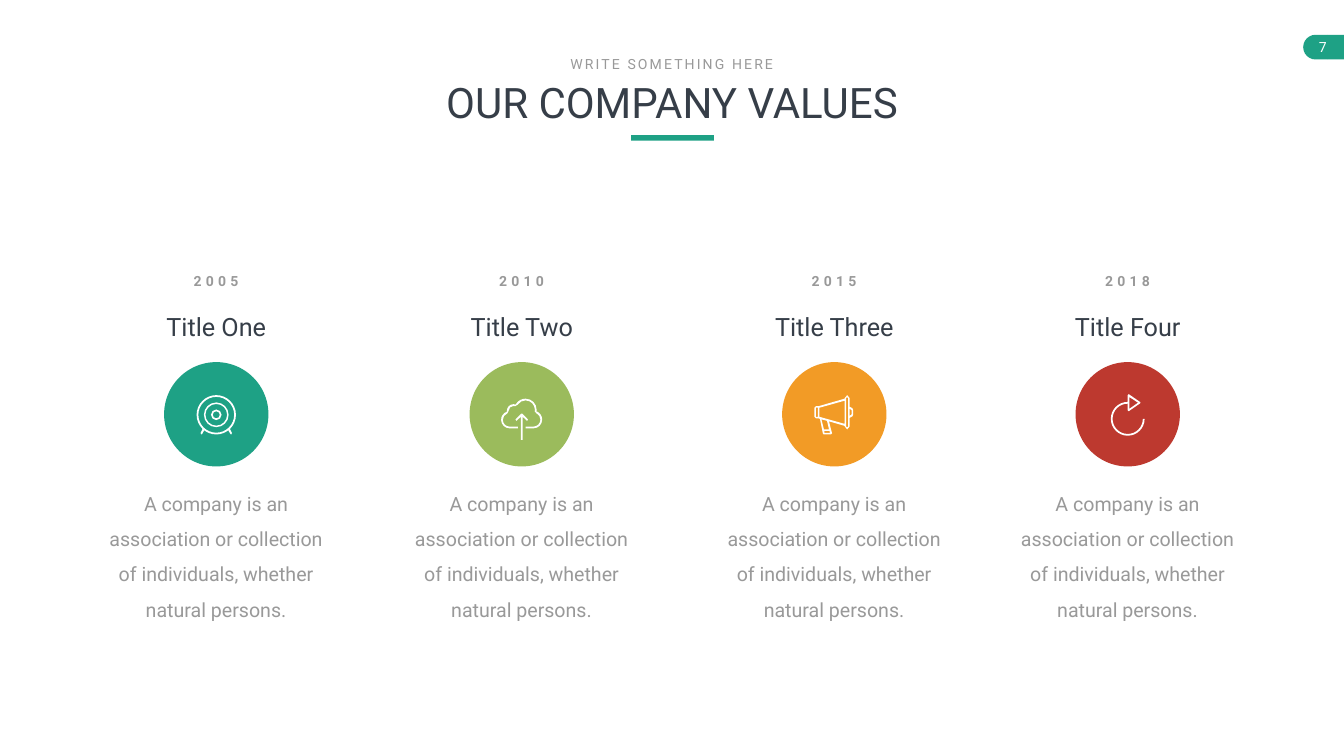
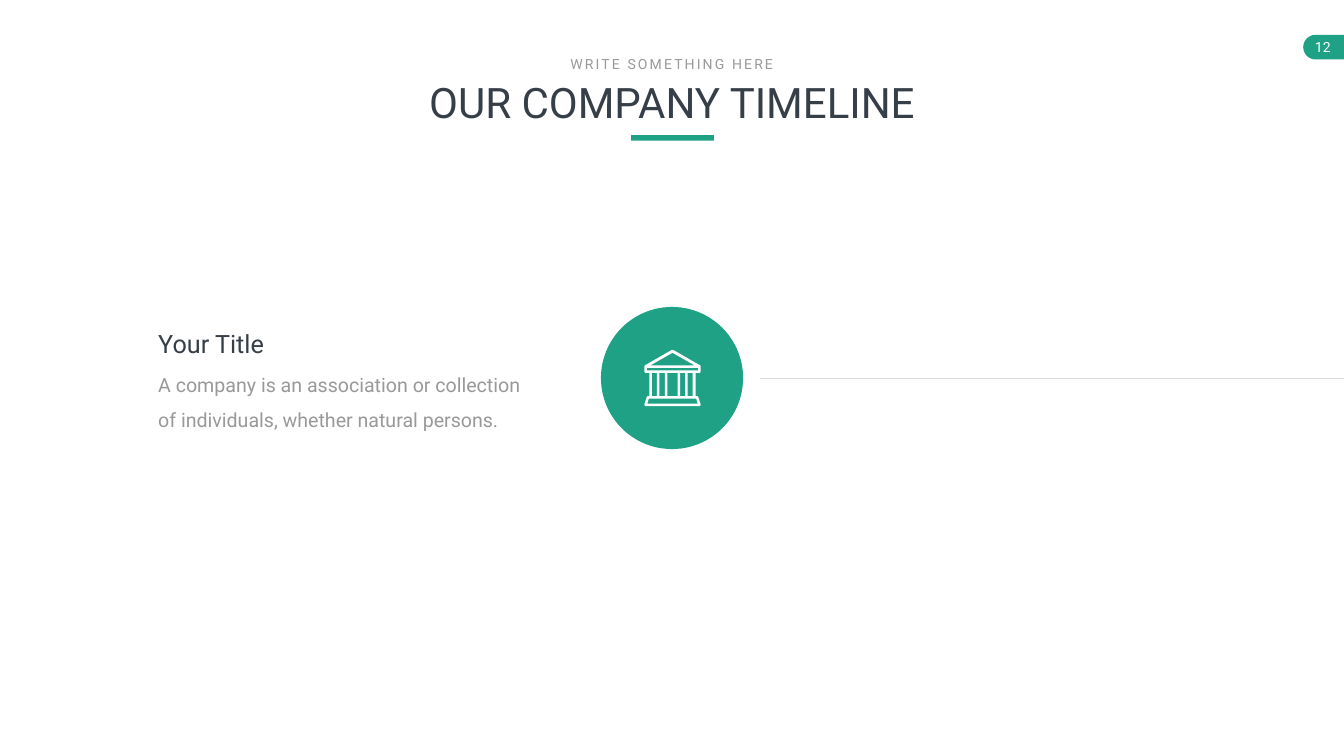
from dataclasses import dataclass
from math import ceil, cos, floor, radians, sin, tan

from lxml import etree
from pptx import Presentation
from pptx.dml.color import RGBColor
from pptx.enum.shapes import MSO_CONNECTOR, MSO_SHAPE
from pptx.enum.text import MSO_AUTO_SIZE, PP_ALIGN
from pptx.oxml.ns import qn
from pptx.util import Inches, Pt

ELLIPSE, RECTANGLE = MSO_SHAPE.OVAL, MSO_SHAPE.RECTANGLE
DELAY = MSO_SHAPE.FLOWCHART_DELAY
LEFT, CENTER = PP_ALIGN.LEFT, PP_ALIGN.CENTER


@dataclass(frozen=True)
class Theme:
    font: str = "Roboto"
    teal: str = "1EA185"
    green: str = "9BBB5C"
    orange: str = "F29B26"
    red: str = "BD392F"
    dark: str = "363E48"
    gray: str = "999999"
    rule: str = "D9D9D9"
    white: str = "FFFFFF"
    heading: int = 60
    title: int = 36
    body: int = 28
    small: int = 20


THEME = Theme()

# Content
SLIDE_WIDTH, SLIDE_HEIGHT = 26.66, 15
KICKER = "WRITE SOMETHING HERE"
DESCRIPTION = ("A company is an association or collection of individuals, "
               "whether natural persons.")
# year, title, colour, icon, centre, title width
VALUES = [
    ("2005", "Title One", THEME.teal, "target", 4.29, 3.33),
    ("2010", "Title Two", THEME.green, "cloud", 10.35, 4.08),
    ("2015", "Title Three", THEME.orange, "megaphone", 16.55, 3.61),
    ("2018", "Title Four", THEME.red, "refresh", 22.37, 3.33),
]


# Icon outlines, in hundredths of an inch from the icon centre.
# Two numbers are a line's end; six are a curve's two controls and its end.
def arc(x, y, radius, start, end):
    """Return the first point, then one curve for each quadrant crossed."""
    low, high = sorted((start, end))
    quadrants = range(floor(low / 90) + 1, ceil(high / 90))
    stops = [low] + [90 * quadrant for quadrant in quadrants] + [high]
    if start > end:
        stops.reverse()
    segments = [(x + radius * cos(radians(start)), y + radius * sin(radians(start)))]
    for first, last in zip(stops, stops[1:]):
        a, b = radians(first), radians(last)
        pull = 4 / 3 * tan((b - a) / 4)
        segments.append((
            x + radius * (cos(a) - pull * sin(a)), y + radius * (sin(a) + pull * cos(a)),
            x + radius * (cos(b) + pull * sin(b)), y + radius * (sin(b) - pull * cos(b)),
            x + radius * cos(b), y + radius * sin(b)))
    return segments


def circle(radius):
    return arc(0, 0, radius, 0, 360)


def box(left, top, right, bottom):
    return [(left, top), (right, top), (right, bottom), (left, bottom)]


def mirror(points):
    """Close a left half by reflecting it across the vertical axis."""
    return points + [(-x, y) for x, y in reversed(points)]


def band(start, arcs, finish, thickness):
    """Outline a stroke that runs through the arcs between two flat ends."""
    outer = [segment for a in arcs for segment in arc(*a)]
    inner = [segment for x, y, radius, first, last in reversed(arcs)
             for segment in arc(x, y, radius - thickness, last, first)]
    (x1, y1), (x2, y2) = start, finish
    return [start, *outer, finish, (x2, y2 - thickness), *inner, (x1, y1 - thickness)]


TARGET_LEG = [(-27, 28), (-31, 36), (-30, 39), (-28, 38), (-24, 31)]
ICONS = {
    "target": [circle(r) for r in (39, 35.5, 24.5, 21.5, 10.5, 7)] + [
        TARGET_LEG, [(-x, y) for x, y in TARGET_LEG]],
    "cloud": [
        band((-7.5, 27), [(-24, 10, 17, 90, 250), (-16.5, -8, 13, 180, 290),
                          (7.5, -10, 22, 213, 370), (23, 9.5, 17.5, -65, 90)],
             (7.5, 27), 3.5),
        mirror([(-1.75, 50), (-1.75, 4), (-10.5, 12), (-12.5, 9.5), (-1, -2.5)]),
    ],
    "megaphone": [
        [(30.5, -16), (30.5, -33), (25.5, -39), (20.5, -33), (20.5, -32),
         (-31.5, -17), (-36.5, -17), (-39.5, -14), (-39.5, 4), (-36.5, 7),
         (-31.5, 7), (-28.5, 8), (-22.5, 38), (-20.5, 39), (-6.5, 39),
         (-4.5, 37), (-10.5, 13), (20.5, 22), (20.5, 23), (25.5, 29),
         (30.5, 23), (30.5, 6), (36, 3), (37.5, -1), (37.5, -9), (36, -13)],
        [(30.5, -12), (34.5, -9), (34.5, -1), (30.5, 2)],
        box(23.5, -34, 27.5, 24),
        [(20.5, -28), (-29.5, -14), (-29.5, 4), (20.5, 18)],
        [(-10.5, 29), (-20.5, 29), (-25.5, 9), (-14.5, 12)],
        [(-8.5, 36), (-19.5, 36), (-19.5, 32), (-9.5, 32)],
        box(-36.5, -14, -32.5, 4),
    ],
    "refresh": [
        arc(0, 8, 33.5, 0, 270)
        + [(0, -39), (2, -41), (25, -25), (25, -23), (2, -7), (0, -9)]
        + arc(0, 8, 30, 270, 0),
        [(3.5, -35), (20.5, -24), (3.5, -12)],
    ],
    "bank": [
        mirror([(-1, -56), (-55, -25), (-56, -23), (-56, -13), (-54, -10),
                (-46, -10), (-46, 36), (-49, 36), (-51, 37), (-56, 53), (-54, 56)]),
        mirror([(0, -50), (-44, -25)]),
        box(-51, -20, 51, -15),
        mirror([(-47, 41), (-50, 51)]),
    ] + [box(left, -10, right, 36) for left, right in
         ((-41, -31), (-26, -15), (-10, 10), (15, 25), (30, 40))],
}


# Drawing helpers
def paint(shape, color):
    shape.shadow.inherit = False
    shape.fill.solid()
    shape.fill.fore_color.rgb = RGBColor.from_string(color)
    shape.line.fill.background()


def add_shape(slide, kind, left, top, width, height, color):
    shape = slide.shapes.add_shape(
        kind, Inches(left), Inches(top), Inches(width), Inches(height))
    paint(shape, color)
    return shape


def add_text(slide, text, left, top, width, height, size, color, align=CENTER,
             wrap=True, bold=False, spacing=0, line_spacing=None, insets=None):
    text_box = slide.shapes.add_textbox(
        Inches(left), Inches(top), Inches(width), Inches(height))
    frame = text_box.text_frame
    frame.word_wrap = wrap
    frame.auto_size = MSO_AUTO_SIZE.SHAPE_TO_FIT_TEXT
    if insets:
        (frame.margin_left, frame.margin_top,
         frame.margin_right, frame.margin_bottom) = map(Inches, insets)
    paragraph = frame.paragraphs[0]
    paragraph.alignment = align
    if line_spacing:
        paragraph.line_spacing = line_spacing
    run = paragraph.add_run()
    run.text = text
    run.font.name = THEME.font
    run.font.size = Pt(size)
    run.font.bold = bold
    run.font.color.rgb = RGBColor.from_string(color)
    if spacing:
        run._r.get_or_add_rPr().set("spc", str(spacing * 100))


def add_icon(slide, name, center_x, center_y):
    contours = [[tuple(value * 10 for value in segment) for segment in contour]
                for contour in ICONS[name]]
    ends = [segment[-2:] for contour in contours for segment in contour]
    offsets = [round(min(values)) for values in zip(*ends)] * 3
    builder = slide.shapes.build_freeform(*contours[0][0], scale=Inches(1) / 1000)
    for number, contour in enumerate(contours):
        if number:
            builder.move_to(*contour[0])
        builder.add_line_segments([segment[-2:] for segment in contour[1:]], close=True)
    shape = builder.convert_to_shape(Inches(center_x), Inches(center_y))
    paint(shape, THEME.white)

    # Turn the straight stand-ins into curves
    segments = [segment for contour in contours for segment in contour[1:]]
    lines = list(shape._element.iter(qn("a:lnTo")))
    for line, segment in zip(lines, segments):
        if len(segment) == 6:
            local = [str(round(v) - offset) for v, offset in zip(segment, offsets)]
            curve = etree.Element(qn("a:cubicBezTo"))
            for x, y in zip(local[::2], local[1::2]):
                etree.SubElement(curve, qn("a:pt"), x=x, y=y)
            line.getparent().replace(line, curve)


def add_disc(slide, center_x, center_y, diameter, color):
    add_shape(slide, ELLIPSE, center_x - diameter / 2, center_y - diameter / 2,
              diameter, diameter, color)


def add_description(slide, left, top, width, height, align=CENTER):
    add_text(slide, DESCRIPTION, left, top, width, height, THEME.body, THEME.gray,
             align, line_spacing=1.5)


def new_slide(presentation, number, heading):
    """Add a slide with its page tag and centred heading."""
    slide = presentation.slides.add_slide(presentation.slide_layouts[6])
    tab = add_shape(slide, DELAY, 25.85, 0.69, 0.49, 0.49, THEME.teal)
    tab.rotation = 180
    add_shape(slide, RECTANGLE, 26.34, 0.69, 0.32, 0.49, THEME.teal)
    add_text(slide, number, 25.87, 0.67, 0.91, 0.54, THEME.small, THEME.white,
             wrap=False, insets=(0.2, 0.1, 0.37, 0.1))
    add_shape(slide, RECTANGLE, 12.52, 2.68, 1.64, 0.11, THEME.teal)
    add_text(slide, heading, 7.34, 1.47, 11.98, 1.11, THEME.heading, THEME.dark)
    add_text(slide, KICKER, 11.15, 1.05, 4.35, 0.44, THEME.small, THEME.gray,
             wrap=False, spacing=3)
    return slide


# Slides
def build_values(presentation):
    slide = new_slide(presentation, "7", "OUR COMPANY VALUES")
    for year, title, color, icon, center, title_width in VALUES:
        add_text(slide, title, center - title_width / 2, 6.13, title_width, 0.71,
                 THEME.title, THEME.dark)
        add_disc(slide, center, 8.22, 2.07, color)
        add_text(slide, year, center - 0.6, 5.35, 1.19, 0.44, THEME.small,
                 THEME.gray, wrap=False, bold=True, spacing=6)
        add_icon(slide, icon, center, 8.23)
        add_description(slide, center - 2.32, 9.47, 4.63, 2.85)


def build_timeline(presentation):
    slide = new_slide(presentation, "12", "OUR COMPANY TIMELINE")
    middle_x, middle_y = SLIDE_WIDTH / 2, SLIDE_HEIGHT / 2
    add_description(slide, 3.04, 7.11, 7.39, 1.43, LEFT)
    add_text(slide, "Your Title", 3.04, 6.46, 2.38, 0.71, THEME.title, THEME.dark,
             LEFT, wrap=False)
    add_disc(slide, middle_x, middle_y, 2.82, THEME.teal)
    line = slide.shapes.add_connector(
        MSO_CONNECTOR.STRAIGHT, Inches(15.08), Inches(middle_y),
        Inches(SLIDE_WIDTH), Inches(middle_y))
    line.line.color.rgb = RGBColor.from_string(THEME.rule)
    line.line.width = Pt(0.5)
    etree.SubElement(line._element.spPr, qn("a:effectLst"))
    add_icon(slide, "bank", middle_x + 0.01, middle_y)


def main():
    presentation = Presentation()
    presentation.slide_width = Inches(SLIDE_WIDTH)
    presentation.slide_height = Inches(SLIDE_HEIGHT)
    build_values(presentation)
    build_timeline(presentation)
    presentation.save("out.pptx")


if __name__ == "__main__":
    main()
